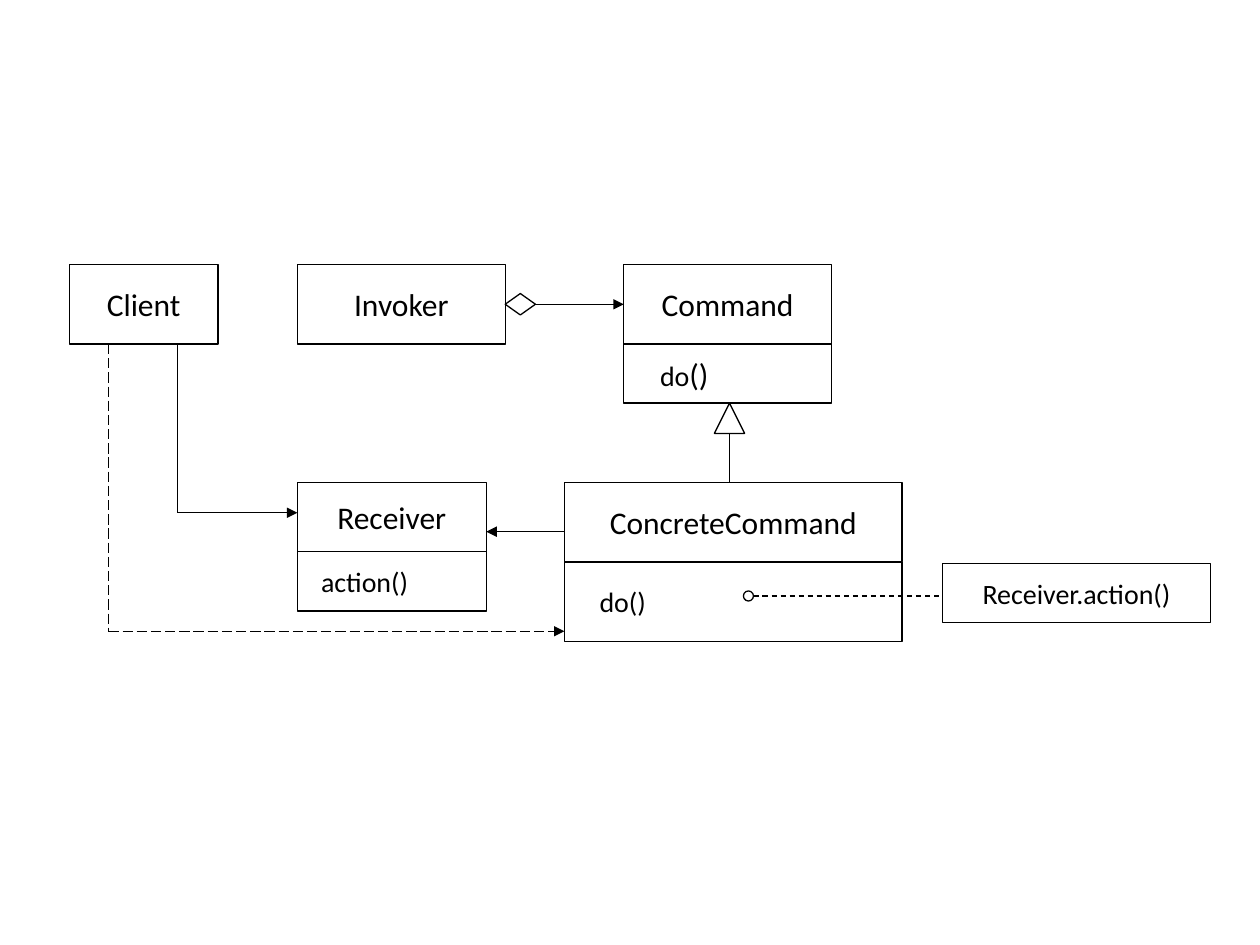
from lxml.etree import SubElement
from pptx import Presentation
from pptx.dml.color import RGBColor
from pptx.enum.dml import MSO_LINE_DASH_STYLE as Dash
from pptx.enum.shapes import MSO_CONNECTOR_TYPE as Connector
from pptx.enum.shapes import MSO_SHAPE as Shape
from pptx.enum.text import MSO_ANCHOR as Anchor
from pptx.enum.text import PP_ALIGN as Align
from pptx.oxml.ns import qn
from pptx.util import Inches, Pt

BLACK, WHITE = "000000", "FFFFFF"
FONT = "Calibri"
LEFT, RIGHT = 1, 3  # connection sites

# Diagram grid, in inches
RECEIVER_X, COMMAND_X, CONCRETE_X = 2.36, 4.95, 4.48
TOP_Y, LOWER_Y = 2.10, 3.83
NAME_HEIGHT, METHOD_HEIGHT = 0.63, 0.47
RECEIVER_HEIGHT = 0.55
CLASS_WIDTH, RECEIVER_WIDTH, CONCRETE_WIDTH = 1.65, 1.50, 2.68
TOP_BOTTOM = TOP_Y + NAME_HEIGHT


def color(hex_string):
    return RGBColor.from_string(hex_string)


def add_outlined(slide, kind, left, top, width, height):
    shape = slide.shapes.add_shape(
        kind, Inches(left), Inches(top), Inches(width), Inches(height))
    shape.shadow.inherit = False
    shape.fill.solid()
    shape.fill.fore_color.rgb = color(WHITE)
    shape.line.color.rgb = color(BLACK)
    shape.line.width = Pt(0.75)
    return shape


def add_run(paragraph, text, size=18):
    run = paragraph.add_run()
    run.text = text
    run.font.name = FONT
    run.font.size = Pt(size)
    run.font.color.rgb = color(BLACK)


def write_text(shape, *parts, size=18, align=Align.CENTER, indent=0):
    """Write one paragraph; a part is a string or a (string, size) pair."""
    frame = shape.text_frame
    frame.word_wrap = True
    frame.vertical_anchor = Anchor.MIDDLE
    paragraph = frame.paragraphs[0]
    paragraph.alignment = align
    if indent:
        properties = paragraph._p.get_or_add_pPr()
        properties.set("marL", "0")
        properties.set("indent", str(Inches(indent)))
    for part in parts:
        text, part_size = (part, size) if isinstance(part, str) else part
        add_run(paragraph, text, part_size)


def add_box(slide, left, top, width, height, *parts, **text_format):
    box = add_outlined(slide, Shape.RECTANGLE, left, top, width, height)
    write_text(box, *parts, **text_format)
    return box


def add_method(slide, left, top, width, height, *parts, indent):
    return add_box(slide, left, top, width, height, *parts,
                   size=16, align=Align.LEFT, indent=indent)


def add_line(slide, start, end, dash=None, arrow=False):
    line = slide.shapes.add_connector(
        Connector.STRAIGHT, *(Inches(value) for value in (*start, *end)))
    line.line.color.rgb = color(BLACK)
    line.line.width = Pt(0.75)
    if dash:
        line.line.dash_style = dash
    if arrow:
        SubElement(line.line._get_or_add_ln(), qn("a:tailEnd"), type="triangle")
    SubElement(line._element.spPr, qn("a:effectLst"))
    return line


def add_classes(slide):
    """Draw the class boxes; return the Command box."""
    add_box(slide, 0.55, TOP_Y, 1.18, NAME_HEIGHT, "Client")
    add_box(slide, RECEIVER_X, TOP_Y, CLASS_WIDTH, NAME_HEIGHT, "Invoker")
    command = add_box(slide, COMMAND_X, TOP_Y, CLASS_WIDTH, NAME_HEIGHT, "Command")
    add_method(slide, COMMAND_X, TOP_BOTTOM, CLASS_WIDTH, METHOD_HEIGHT,
               "do", ("()", 18), indent=0.19)
    add_box(slide, RECEIVER_X, LOWER_Y, RECEIVER_WIDTH, RECEIVER_HEIGHT, "Receiver")
    add_method(slide, RECEIVER_X, LOWER_Y + RECEIVER_HEIGHT, RECEIVER_WIDTH,
               METHOD_HEIGHT, "action()", indent=0.09)
    add_box(slide, CONCRETE_X, LOWER_Y, CONCRETE_WIDTH, NAME_HEIGHT, "ConcreteCommand")
    add_method(slide, CONCRETE_X, LOWER_Y + NAME_HEIGHT, CONCRETE_WIDTH,
               NAME_HEIGHT, "do()", indent=0.18)
    add_box(slide, 7.48, 4.47, 2.13, METHOD_HEIGHT, "Receiver.action()", size=16)
    return command


def add_relations(slide, command):
    # Client to Receiver
    corner = (1.41, 4.07)
    add_line(slide, (corner[0], TOP_BOTTOM), corner)
    add_line(slide, corner, (RECEIVER_X, corner[1]), arrow=True)

    # Client to ConcreteCommand
    corner = (0.86, 5.01)
    add_line(slide, (corner[0], TOP_BOTTOM), corner, dash=Dash.LONG_DASH)
    add_line(slide, corner, (CONCRETE_X, corner[1]), dash=Dash.LONG_DASH, arrow=True)

    # ConcreteCommand to Receiver
    add_line(slide, (CONCRETE_X, 4.22), (RECEIVER_X + RECEIVER_WIDTH, 4.22), arrow=True)

    # Invoker aggregates Command
    diamond = add_outlined(slide, Shape.DIAMOND, RECEIVER_X + CLASS_WIDTH, 2.33, 0.24, 0.17)
    aggregation = add_line(slide, (4.25, 2.41), (COMMAND_X, 2.41), arrow=True)
    aggregation.begin_connect(diamond, RIGHT)
    aggregation.end_connect(command, LEFT)

    # ConcreteCommand inherits from Command
    add_outlined(slide, Shape.ISOSCELES_TRIANGLE, 5.67, TOP_BOTTOM + METHOD_HEIGHT, 0.24, 0.24)
    add_line(slide, (5.79, 3.44), (5.79, LOWER_Y))

    # Note on do()
    add_outlined(slide, Shape.OVAL, 5.90, 4.69, 0.08, 0.08)
    add_line(slide, (5.98, 4.73), (7.48, 4.73), dash=Dash.DASH)


def main():
    presentation = Presentation()
    presentation.slide_width = Inches(10)
    presentation.slide_height = Inches(7.5)
    slide = presentation.slides.add_slide(presentation.slide_layouts[6])
    command = add_classes(slide)
    add_relations(slide, command)
    presentation.save("out.pptx")


if __name__ == "__main__":
    main()
